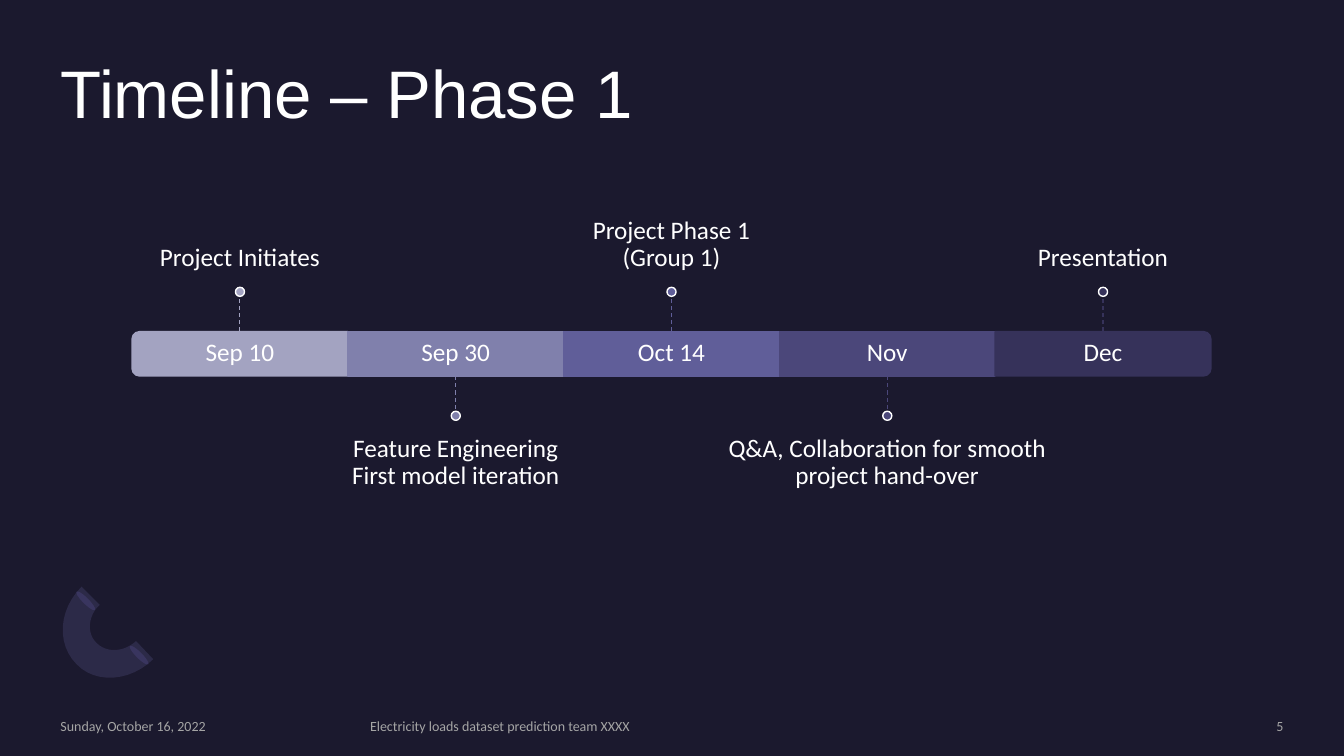
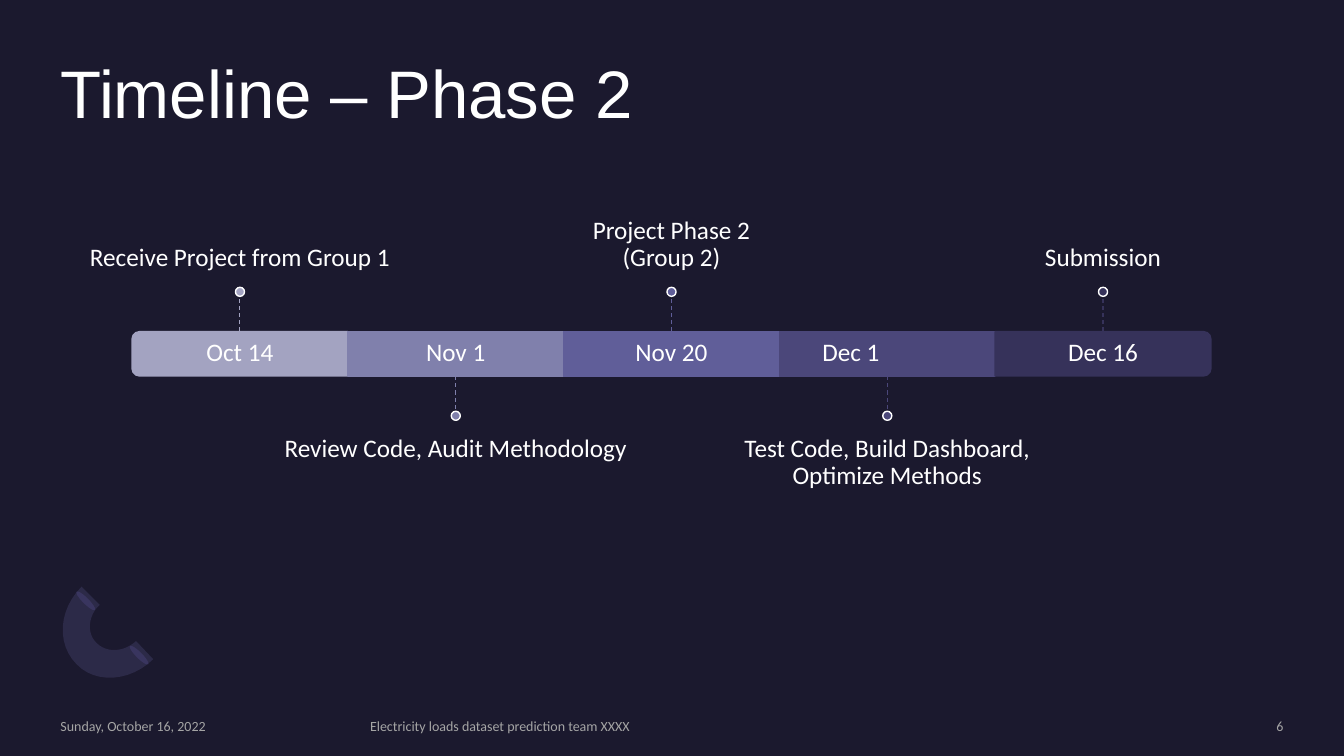
from dataclasses import dataclass

from lxml import etree
from pptx import Presentation
from pptx.dml.color import RGBColor
from pptx.enum import dml, shapes, text
from pptx.oxml import ns
from pptx.util import Inches, Pt

COLORS = {
    "background": "1B192E",
    "white": "FFFFFF",
    "footer": "A5A5A5",
    "arc": "746EB3",
    "arc_end": "2B274A",
}
BAND_COLORS = ["A3A3C1", "8080AC", "605E99", "4B477A", "36325A"]
BODY_FONT = "Calibri"
TITLE_FONT = "Arial"

BAND_LEFT, BAND_TOP = 1.31, 3.29
STEP_WIDTH, BAND_HEIGHT = 2.14, 0.44
STEM, DOT = 0.35, 0.09
LABEL_WIDTH, LABEL_HEIGHT, LABEL_GAP = 3.56, 1.52, 0.15

ARC_END_TOPS = [(1.35, 6.37), (0.82, 5.83)]
ARC_OUTLINE = [
    [(0.76, 6.59), (0.56, 6.39), (0.58, 6.05), (0.81, 5.82)],
    [(0.99, 6), (0.87, 6.11), (0.86, 6.29), (0.96, 6.38)],
    [(0.96, 6.38), (1.06, 6.48), (1.23, 6.47), (1.35, 6.36)],
    [(1.52, 6.54), (1.3, 6.76), (0.95, 6.79), (0.76, 6.59)],
]
CURVE_STEPS = 12


@dataclass
class Milestone:
    date: str
    label: str
    date_shift: float = 0


@dataclass
class Timeline:
    title: str
    number: str
    milestones: list[Milestone]


@dataclass
class FooterPart:
    left: float
    width: float
    wording: str
    align: text.PP_ALIGN = text.PP_ALIGN.LEFT


TIMELINES = [
    Timeline("Timeline – Phase 1", "5", [
        Milestone("Sep 10", "Project Initiates"),
        Milestone("Sep 30", "Feature Engineering\nFirst model iteration"),
        Milestone("Oct 14", "Project Phase 1\v(Group 1)"),
        Milestone("Nov", "Q&A, Collaboration for smooth project hand-over"),
        Milestone("Dec", "Presentation"),
    ]),
    Timeline("Timeline – Phase 2", "6", [
        Milestone("Oct 14", "Receive Project from Group 1"),
        Milestone("Nov 1", "Review Code, Audit Methodology"),
        Milestone("Nov 20", "Project Phase 2\v(Group 2)"),
        Milestone("Dec 1", "Test Code, Build Dashboard,\vOptimize Methods", -0.36),
        Milestone("Dec 16", "Submission"),
    ]),
]


def rgb(value: str) -> RGBColor:
    return RGBColor.from_string(value)


def write(frame, wording: str, size: float, color: str, font: str = BODY_FONT,
          align=text.PP_ALIGN.LEFT, anchor=text.MSO_ANCHOR.MIDDLE,
          spacing: float = 1.0, pad_top: float = 0, pad_bottom: float = 0) -> None:
    frame.text = wording
    frame.word_wrap = True
    frame.auto_size = text.MSO_AUTO_SIZE.NONE
    frame.vertical_anchor = anchor
    frame.margin_left = frame.margin_right = 0
    frame.margin_top, frame.margin_bottom = Inches(pad_top), Inches(pad_bottom)
    for paragraph in frame.paragraphs:
        paragraph.alignment = align
        paragraph.line_spacing = spacing
        for run in paragraph.runs:
            run.font.name = font
            run.font.size = Pt(size)
            run.font.color.rgb = rgb(color)


def add_text(slide, left: float, top: float, width: float, height: float,
             wording: str, size: float, color: str, **style) -> None:
    box = slide.shapes.add_textbox(Inches(left), Inches(top), Inches(width), Inches(height))
    write(box.text_frame, wording, size, color, **style)


def add_filled(slide, preset, left: float, top: float, width: float, height: float,
               fill: str, line: str | None = None):
    shape = slide.shapes.add_shape(
        preset, Inches(left), Inches(top), Inches(width), Inches(height))
    shape.shadow.inherit = False
    shape.fill.solid()
    shape.fill.fore_color.rgb = rgb(fill)
    if line:
        shape.line.color.rgb = rgb(line)
        shape.line.width = Pt(1)
    else:
        shape.line.fill.background()
    return shape


def curve_points(curve: list[tuple[float, float]]) -> list[tuple[int, int]]:
    points = []
    for step in range(CURVE_STEPS + 1):
        t = step / CURVE_STEPS
        weights = ((1 - t) ** 3, 3 * t * (1 - t) ** 2, 3 * t * t * (1 - t), t ** 3)
        x, y = (sum(w * p[axis] for w, p in zip(weights, curve)) for axis in (0, 1))
        points.append((Inches(x), Inches(y)))
    return points


def add_arc(slide) -> None:
    for left, top in ARC_END_TOPS:
        end = add_filled(slide, shapes.MSO_SHAPE.OVAL, left, top, 0.06, 0.26,
                         COLORS["arc_end"])
        end.rotation = 315
    points = [point for curve in ARC_OUTLINE for point in curve_points(curve)]
    builder = slide.shapes.build_freeform(*points[0])
    builder.add_line_segments(points[1:], close=True)
    arc = builder.convert_to_shape()
    arc.shadow.inherit = False
    arc.fill.solid()
    arc.fill.fore_color.rgb = rgb(COLORS["arc"])
    arc.line.fill.background()
    color = arc._element.spPr.find(ns.qn("a:solidFill"))[0]
    etree.SubElement(color, ns.qn("a:alpha"), val="20000")


def add_frame(slide, timeline: Timeline) -> None:
    add_arc(slide)
    title = slide.shapes.title
    title.left, title.top = Inches(0.6), Inches(0.6)
    title.width, title.height = Inches(12.13), Inches(1.46)
    write(title.text_frame, timeline.title, 48, COLORS["white"], font=TITLE_FONT,
          anchor=text.MSO_ANCHOR.TOP, spacing=0.9)
    footer = [
        FooterPart(0.6, 2.88, "Sunday, October 16, 2022"),
        FooterPart(3.67, 6.98, "Electricity loads dataset prediction team XXXX"),
        FooterPart(10.88, 1.85, timeline.number, text.PP_ALIGN.RIGHT),
    ]
    for part in footer:
        add_text(slide, part.left, 7.12, part.width, 0.17, part.wording, 10,
                 COLORS["footer"], align=part.align)


def add_segment(slide, index: int, left: float, color: str):
    last = len(BAND_COLORS) - 1
    if 0 < index < last:
        return add_filled(slide, shapes.MSO_SHAPE.RECTANGLE, left, BAND_TOP,
                          STEP_WIDTH, BAND_HEIGHT, color, color)
    inset = (STEP_WIDTH - BAND_HEIGHT) / 2
    cap = add_filled(slide, shapes.MSO_SHAPE.ROUND_2_SAME_RECTANGLE, left + inset,
                     BAND_TOP - inset, BAND_HEIGHT, STEP_WIDTH, color, color)
    cap.rotation = 90 if index == last else 270
    return cap


def add_stem(slide, segment, center: float, start: float, end: float,
             site: int, color: str) -> None:
    stem = slide.shapes.add_connector(
        shapes.MSO_CONNECTOR.STRAIGHT,
        Inches(center), Inches(start), Inches(center), Inches(end))
    if segment.rotation == 0:
        stem.begin_connect(segment, site)
    stem.line.color.rgb = rgb(color)
    stem.line.width = Pt(0.75)
    stem.line.dash_style = dml.MSO_LINE.DASH
    etree.SubElement(stem._element.spPr, ns.qn("a:effectLst"))


def add_milestone(slide, index: int, milestone: Milestone, color: str) -> None:
    left = BAND_LEFT + index * STEP_WIDTH
    center = left + STEP_WIDTH / 2
    above = index % 2 == 0
    segment = add_segment(slide, index, left, color)
    centered = dict(align=text.PP_ALIGN.CENTER, spacing=0.9)
    add_text(slide, left + milestone.date_shift, BAND_TOP, STEP_WIDTH, BAND_HEIGHT,
             milestone.date, 18, COLORS["white"], **centered)
    if above:
        start, end, site = BAND_TOP, BAND_TOP - STEM, 0
        dot_top = end - DOT
        label_top = dot_top - LABEL_HEIGHT
        placing = dict(anchor=text.MSO_ANCHOR.BOTTOM, pad_bottom=LABEL_GAP)
    else:
        start, site = BAND_TOP + BAND_HEIGHT, 2
        end = dot_top = start + STEM
        label_top = dot_top + DOT
        placing = dict(anchor=text.MSO_ANCHOR.TOP, pad_top=LABEL_GAP)
    add_text(slide, center - LABEL_WIDTH / 2, label_top, LABEL_WIDTH, LABEL_HEIGHT,
             milestone.label, 18, COLORS["white"], **centered, **placing)
    add_stem(slide, segment, center, start, end, site, color)
    add_filled(slide, shapes.MSO_SHAPE.OVAL, center - DOT / 2, dot_top, DOT, DOT,
               color, COLORS["white"])


def main() -> None:
    prs = Presentation()
    prs.slide_width, prs.slide_height = Inches(13.33), Inches(7.5)
    background = prs.slide_master.background.fill
    background.solid()
    background.fore_color.rgb = rgb(COLORS["background"])
    for timeline in TIMELINES:
        slide = prs.slides.add_slide(prs.slide_layouts.get_by_name("Title Only"))
        add_frame(slide, timeline)
        for index, (milestone, color) in enumerate(zip(timeline.milestones, BAND_COLORS)):
            add_milestone(slide, index, milestone, color)
    prs.save("out.pptx")


if __name__ == "__main__":
    main()
